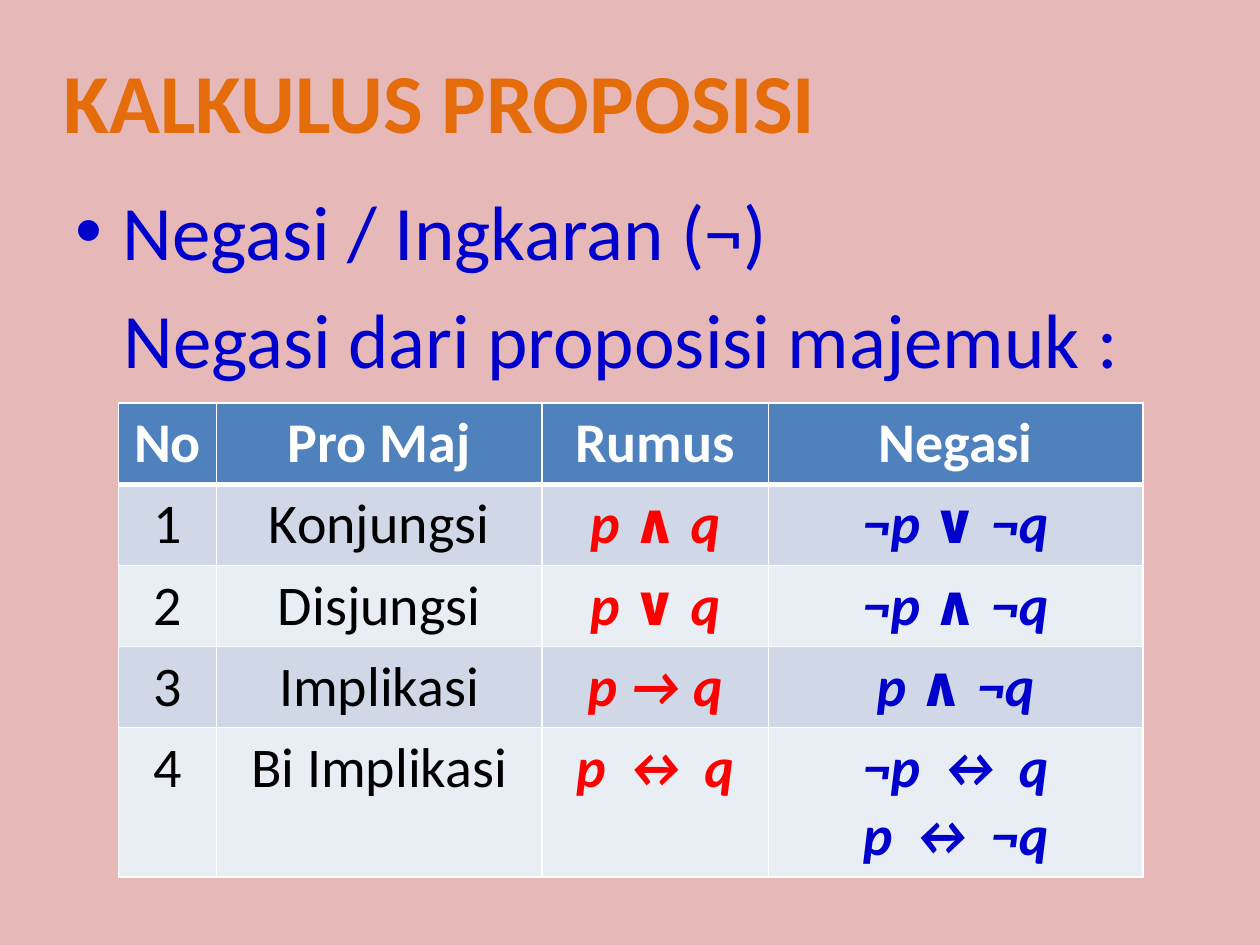
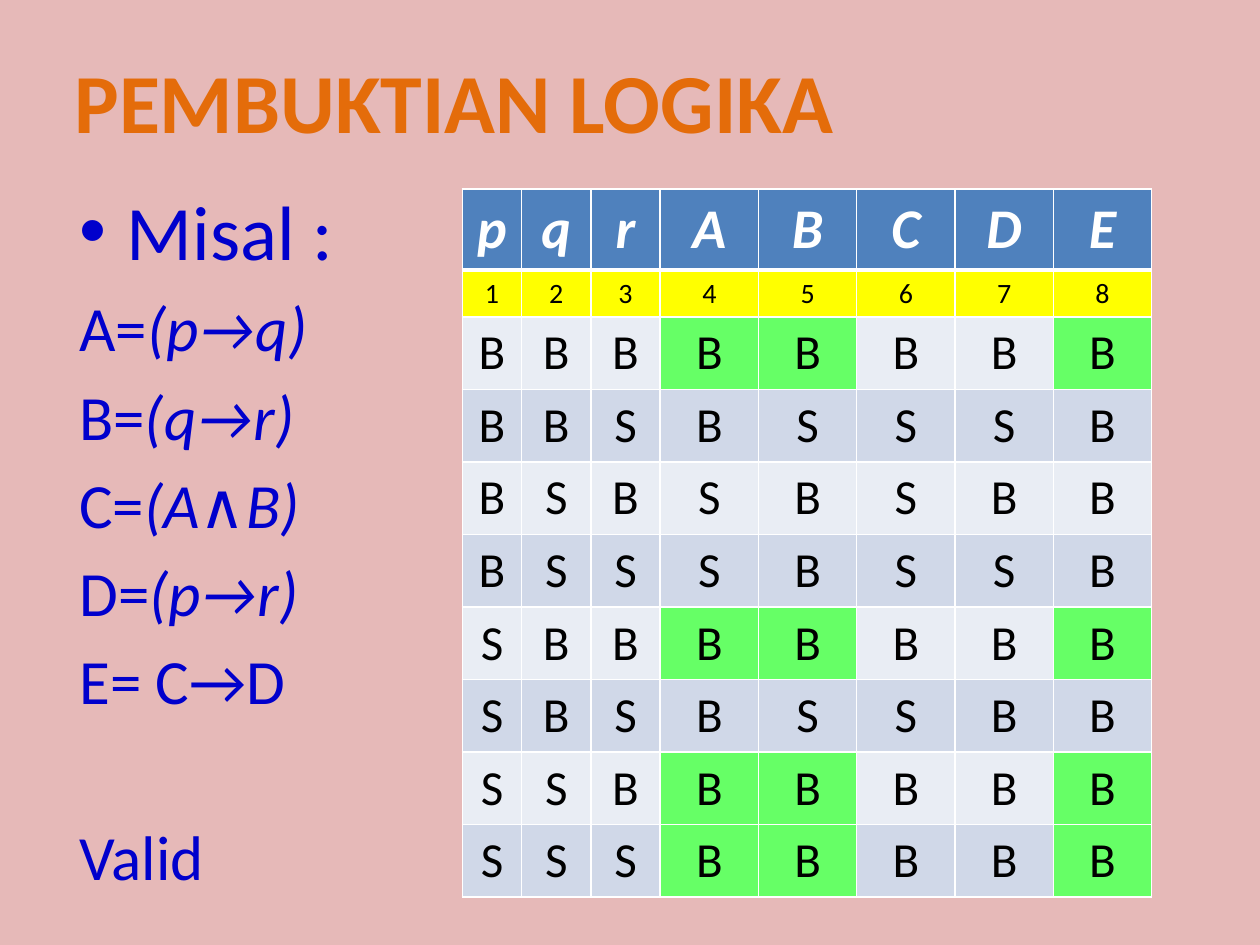
"""Build two slides on propositional logic: compound negations and a truth table proof."""
from dataclasses import dataclass, replace
from itertools import product

from lxml import etree
from pptx import Presentation
from pptx.dml.color import RGBColor
from pptx.enum.text import MSO_ANCHOR, MSO_AUTO_SIZE, PP_ALIGN
from pptx.oxml.ns import qn
from pptx.util import Inches, Pt

CENTER = PP_ALIGN.CENTER
MIDDLE = MSO_ANCHOR.MIDDLE
NO_AUTOFIT = MSO_AUTO_SIZE.NONE

PINK = RGBColor(0xE6, 0xB9, 0xB8)
ORANGE = RGBColor(0xE4, 0x6C, 0x0A)
BLUE = RGBColor(0x00, 0x00, 0xCC)
RED = RGBColor(0xFF, 0x00, 0x00)
BLACK = RGBColor(0x00, 0x00, 0x00)
WHITE = RGBColor(0xFF, 0xFF, 0xFF)
HEADER_FILL = RGBColor(0x4F, 0x81, 0xBD)
DARK_BAND = RGBColor(0xD0, 0xD8, 0xE8)
LIGHT_BAND = RGBColor(0xE9, 0xED, 0xF4)
YELLOW = RGBColor(0xFF, 0xFF, 0x00)
GREEN = RGBColor(0x66, 0xFF, 0x66)

FONT = "Calibri"
TITLE_AND_CONTENT = 1
TRUE, FALSE = "B", "S"


@dataclass(frozen=True)
class TextStyle:
    """Character format of a run."""
    size: int
    color: RGBColor
    bold: bool = False
    italic: bool = False


TITLE = TextStyle(48, ORANGE, bold=True)
LEAD = TextStyle(44, BLUE)
DEFINITION = TextStyle(36, BLUE)
HEADER = TextStyle(32, WHITE, bold=True)
VARIABLE = replace(HEADER, italic=True)
PLAIN = TextStyle(32, BLACK)
FORMULA = TextStyle(32, RED, bold=True, italic=True)
NEGATION = replace(FORMULA, color=BLUE)
NUMBER = TextStyle(16, BLACK)
VALUE = TextStyle(28, BLACK)


def add_run(paragraph, text, style):
    """Append one formatted run to a paragraph."""
    run = paragraph.add_run()
    run.text = text
    font = run.font
    font.name = FONT
    font.size = Pt(style.size)
    font.bold = style.bold
    font.italic = style.italic
    font.color.rgb = style.color


def place(shape, left, top, width, height):
    """Set the position and size of a shape in inches."""
    shape.left, shape.top = Inches(left), Inches(top)
    shape.width, shape.height = Inches(width), Inches(height)


def add_topic_slide(presentation, title, title_width, body_left):
    """Add a pink slide with its title and return it with the body text frame."""
    slide = presentation.slides.add_slide(presentation.slide_layouts[TITLE_AND_CONTENT])
    slide.background.fill.solid()
    slide.background.fill.fore_color.rgb = PINK

    place(slide.shapes.title, 0.37, 0.34, title_width, 0.91)
    frame = slide.shapes.title.text_frame
    frame.word_wrap = False
    frame.auto_size = NO_AUTOFIT
    frame.vertical_anchor = MIDDLE
    frame.paragraphs[0].alignment = CENTER
    add_run(frame.paragraphs[0], title, TITLE)

    body = slide.placeholders[1]
    place(body, body_left, 1.41, 9, 5.63)
    body.text_frame.auto_size = NO_AUTOFIT
    return slide, body.text_frame


def add_plain_paragraph(frame, margin=0.0):
    """Add a body paragraph without a bullet, set in by a margin in inches."""
    paragraph = frame.add_paragraph()
    properties = paragraph._p.get_or_add_pPr()
    properties.set("marL", str(Inches(margin)))
    properties.set("indent", "0")
    etree.SubElement(properties, qn("a:buNone"))
    return paragraph


def set_borders(cell, top, bottom):
    """Draw white cell borders with the given top and bottom widths in points."""
    properties = cell._tc.get_or_add_tcPr()
    for side, width in (("L", 1), ("R", 1), ("T", top), ("B", bottom)):
        line = etree.SubElement(properties, qn(f"a:ln{side}"), w=str(Pt(width)))
        fill = etree.SubElement(line, qn("a:solidFill"))
        etree.SubElement(fill, qn("a:srgbClr"), val=str(WHITE))


def fill_cell(cell, text, style, fill):
    """Write centred lines into a cell and colour it."""
    cell.fill.solid()
    cell.fill.fore_color.rgb = fill
    frame = cell.text_frame
    for index, line in enumerate(text.split("\n")):
        paragraph = frame.add_paragraph() if index else frame.paragraphs[0]
        paragraph.alignment = CENTER
        add_run(paragraph, line, style)


def add_grid(slide, left, top, column_widths, row_heights):
    """Add an empty table with white borders and a thick line under the header."""
    frame = slide.shapes.add_table(
        len(row_heights), len(column_widths), Inches(left), Inches(top),
        Inches(sum(column_widths)), Inches(sum(row_heights)))
    table = frame.table
    for column, width in zip(table.columns, column_widths):
        column.width = Inches(width)
    for index, (row, height) in enumerate(zip(table.rows, row_heights)):
        row.height = Inches(height)
        for cell in row.cells:
            set_borders(cell, top=3 if index == 1 else 1, bottom=3 if index == 0 else 1)
    return table


def fill_row(table, row, texts, styles, fills):
    """Fill one table row from matching texts, styles and fills."""
    for column, content in enumerate(zip(texts, styles, fills)):
        fill_cell(table.cell(row, column), *content)


def band(row):
    """Return the band colour of a body row."""
    return DARK_BAND if row % 2 else LIGHT_BAND


def truth_rows():
    """Yield the values of p, q, r and A to E for every combination."""
    for p, q, r in product((True, False), repeat=3):
        a, b, d = not p or q, not q or r, not p or r
        c = a and b
        e = not c or d
        yield [TRUE if value else FALSE for value in (p, q, r, a, b, c, d, e)]


def build_negation_slide(presentation):
    """Build the slide on negations of compound propositions."""
    slide, body = add_topic_slide(presentation, "KALKULUS PROPOSISI", 6.24, 0.5)
    add_run(body.paragraphs[0], "Negasi / Ingkaran (¬)", LEAD)
    add_run(add_plain_paragraph(body, 0.38), "Negasi dari proposisi majemuk :", LEAD)

    rules = [
        ("Konjungsi", "p ∧ q", "¬p ∨ ¬q"),
        ("Disjungsi", "p ∨ q", "¬p ∧ ¬q"),
        ("Implikasi", "p → q", "p ∧ ¬q"),
        ("Bi Implikasi", "p ↔ q", "¬p ↔ q\np ↔ ¬q"),
    ]
    table = add_grid(slide, 0.94, 3.2, [0.78, 2.58, 1.8, 2.97], [0.63] * 4 + [1.17])
    fill_row(table, 0, ("No", "Pro Maj", "Rumus", "Negasi"), [HEADER] * 4, [HEADER_FILL] * 4)
    for number, rule in enumerate(rules, start=1):
        fill_row(table, number, (str(number), *rule),
                 (PLAIN, PLAIN, FORMULA, NEGATION), [band(number)] * 4)


def build_proof_slide(presentation):
    """Build the slide that proves validity with a truth table."""
    slide, body = add_topic_slide(presentation, "PEMBUKTIAN LOGIKA", 6.47, 0.53)
    add_run(body.paragraphs[0], "Misal :", LEAD)
    definitions = [("A=", "(p→q)"), ("B=", "(q→r)"), ("C=", "(A∧B)"), ("D=", "(p→r)")]
    for name, formula in definitions:
        paragraph = add_plain_paragraph(body)
        add_run(paragraph, name, DEFINITION)
        add_run(paragraph, formula, replace(DEFINITION, italic=True))
    add_run(add_plain_paragraph(body), "E= C→D", DEFINITION)
    conclusion = add_plain_paragraph(body)
    conclusion.space_before = Pt(57)
    add_run(conclusion, "Valid", DEFINITION)

    names = "pqrABCDE"
    count = len(names)
    table = add_grid(slide, 3.67, 1.5, [0.47, 0.55, 0.55] + [0.78] * 5,
                     [0.63, 0.36] + [0.57] * 8)
    fill_row(table, 0, names, [VARIABLE] * count, [HEADER_FILL] * count)
    numbers = [str(number) for number in range(1, count + 1)]
    fill_row(table, 1, numbers, [NUMBER] * count, [YELLOW] * count)
    for row, values in enumerate(truth_rows(), start=2):
        premises_hold = values[names.index("C")] == TRUE
        fills = [GREEN if premises_hold and name in "ABE" else band(row) for name in names]
        fill_row(table, row, values, [VALUE] * count, fills)


def main():
    """Create the presentation and save it."""
    presentation = Presentation()
    presentation.slide_width = Inches(10)
    presentation.slide_height = Inches(7.5)
    build_negation_slide(presentation)
    build_proof_slide(presentation)
    presentation.save("out.pptx")


if __name__ == "__main__":
    main()
